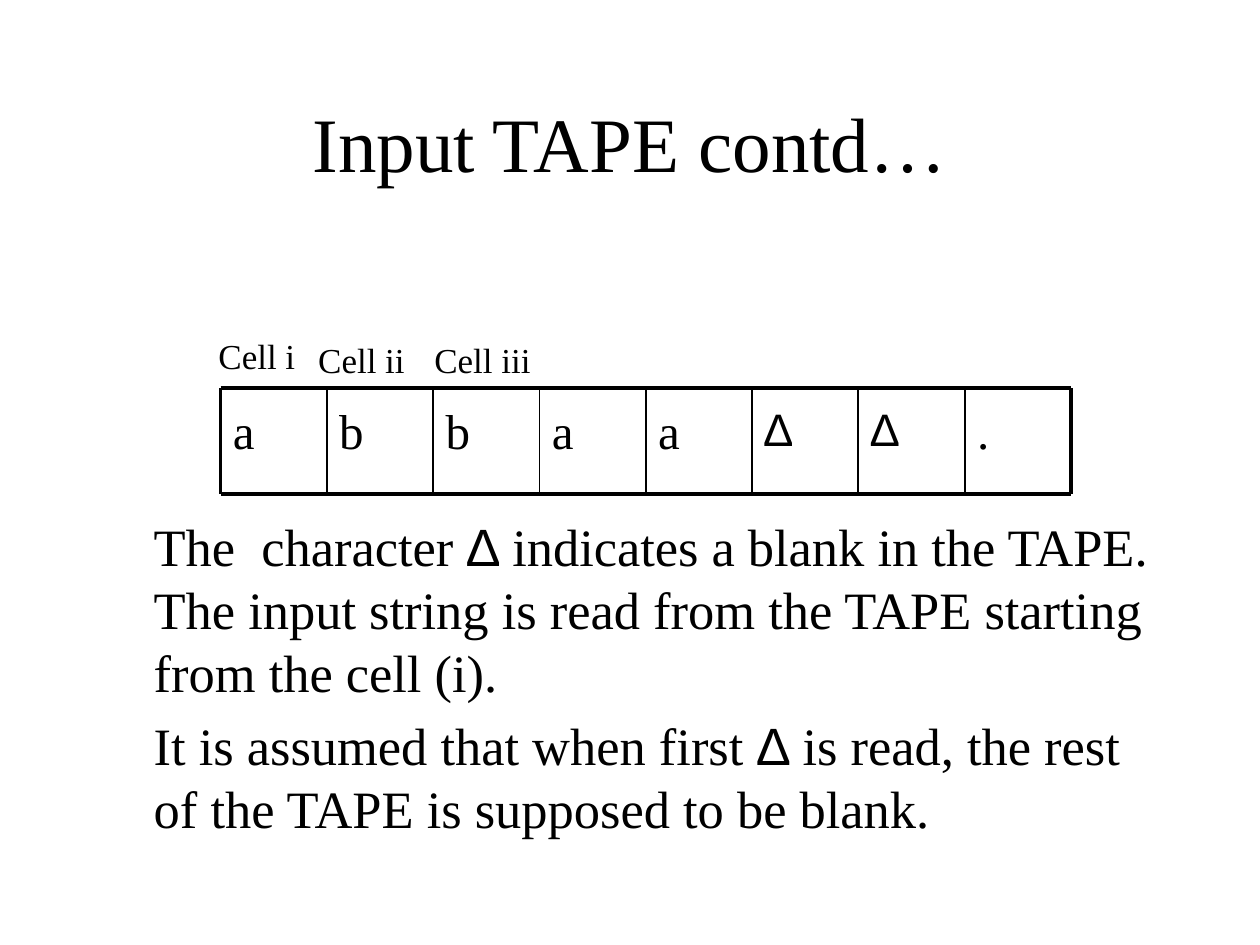
import itertools
from dataclasses import dataclass

import pptx
import pptx.dml.color
import pptx.enum.shapes
import pptx.enum.text
import pptx.oxml.ns
import pptx.util
from lxml import etree

Inches = pptx.util.Inches
Pt = pptx.util.Pt
Align = pptx.enum.text.PP_ALIGN
Anchor = pptx.enum.text.MSO_ANCHOR
BLANK = "∆"


@dataclass(frozen=True)
class Theme:
    ink: pptx.dml.color.RGBColor = pptx.dml.color.RGBColor(0, 0, 0)
    serif: str = "Times New Roman"
    sans: str = "Arial"
    title: float = 44
    body: float = 30
    body_line: float = 36
    body_gap: float = 5.4
    symbol: float = 28
    blank: float = 26
    label: float = 20
    outer_line: float = 2.25
    inner_line: float = 1


THEME = Theme()


def add_run(paragraph, words, size, font=THEME.serif):
    run = paragraph.add_run()
    run.text = words
    run.font.size = Pt(size)
    run.font.name = font
    run.font.color.rgb = THEME.ink


def place(shape, box):
    shape.left, shape.top, shape.width, shape.height = map(Inches, box)


def add_title(slide, box, words):
    place(slide.shapes.title, box)
    frame = slide.shapes.title.text_frame
    frame.vertical_anchor = Anchor.MIDDLE
    paragraph = frame.paragraphs[0]
    paragraph.alignment = Align.CENTER
    add_run(paragraph, words, THEME.title)


def add_explanation(slide, box, statements):
    explanation = slide.placeholders[1]
    place(explanation, box)
    frame = explanation.text_frame
    frame.auto_size = pptx.enum.text.MSO_AUTO_SIZE.NONE
    frame.margin_top = Inches(1.91)  # leaves room for the tape
    for index, statement in enumerate(statements):
        paragraph = frame.add_paragraph() if index else frame.paragraphs[0]
        paragraph.line_spacing = Pt(THEME.body_line)
        paragraph.space_before = Pt(THEME.body_gap if index else 0)
        properties = paragraph._p.get_or_add_pPr()
        properties.set("marL", str(Inches(0.37)))
        properties.set("indent", "0")
        etree.SubElement(properties, pptx.oxml.ns.qn("a:buNone"))
        before, after = statement.split(BLANK)
        add_run(paragraph, before, THEME.body)
        add_run(paragraph, BLANK, THEME.body, THEME.sans)
        add_run(paragraph, after, THEME.body)


def add_rule(shapes, start, end, width):
    rule = shapes.add_connector(
        pptx.enum.shapes.MSO_CONNECTOR.STRAIGHT, *map(Inches, start + end))
    rule.line.color.rgb = THEME.ink
    rule.line.width = Pt(width)
    etree.SubElement(rule._element.spPr, pptx.oxml.ns.qn("a:effectLst"))


def add_tape(slide, box, symbols):
    left, top, width, height = box
    right, bottom = left + width, top + height
    cell_width = width / len(symbols)
    tape = slide.shapes.add_group_shape().shapes

    # Symbols in their cells
    for index, symbol in enumerate(symbols):
        cell = (left + index * cell_width, top, cell_width, height)
        frame = tape.add_textbox(*map(Inches, cell)).text_frame
        frame.word_wrap = True
        frame.margin_top = Inches(0.1)
        style = (THEME.blank, THEME.sans) if symbol == BLANK else (THEME.symbol, THEME.serif)
        add_run(frame.paragraphs[0], symbol, *style)

    # Heavy outline, thin dividers
    for y in (top, bottom):
        add_rule(tape, (left, y), (right, y), THEME.outer_line)
    for index in range(len(symbols) + 1):
        x = left + index * cell_width
        weight = THEME.outer_line if index in (0, len(symbols)) else THEME.inner_line
        add_rule(tape, (x, top), (x, bottom), weight)


def add_cell_label(slide, box, words):
    frame = slide.shapes.add_textbox(*map(Inches, box)).text_frame
    frame.word_wrap = True
    frame.vertical_anchor = Anchor.BOTTOM
    frame.margin_right = Inches(0.21)
    frame.margin_bottom = Inches(0.09)
    paragraph = frame.paragraphs[0]
    paragraph.alignment = Align.CENTER
    add_run(paragraph, words, THEME.label)


def main():
    deck = pptx.Presentation()
    deck.slide_width, deck.slide_height = Inches(10), Inches(7.5)
    slide = deck.slides.add_slide(deck.slide_layouts[1])

    add_title(slide, (0.75, 0.5, 8.5, 1.25), "Input TAPE contd…")
    add_explanation(slide, (0.75, 2.17, 8.5, 5.33), (
        "The  character ∆ indicates a blank in the TAPE. "
        "The input string is read from the TAPE starting from the cell (i).",
        "It is assumed that when first ∆ is read, "
        "the rest of the TAPE is supposed to be blank.",
    ))
    add_tape(slide, (1.75, 3.08, 6.75, 0.84), "abbaa∆∆.")
    label_corners = ((1.11, 2.38), (1.94, 2.41), (2.9, 2.41))
    for (left, top), numeral in zip(label_corners, itertools.accumulate("iii")):
        add_cell_label(slide, (left, top, 1.97, 0.7), f"Cell {numeral}")

    deck.save("out.pptx")


if __name__ == "__main__":
    main()
